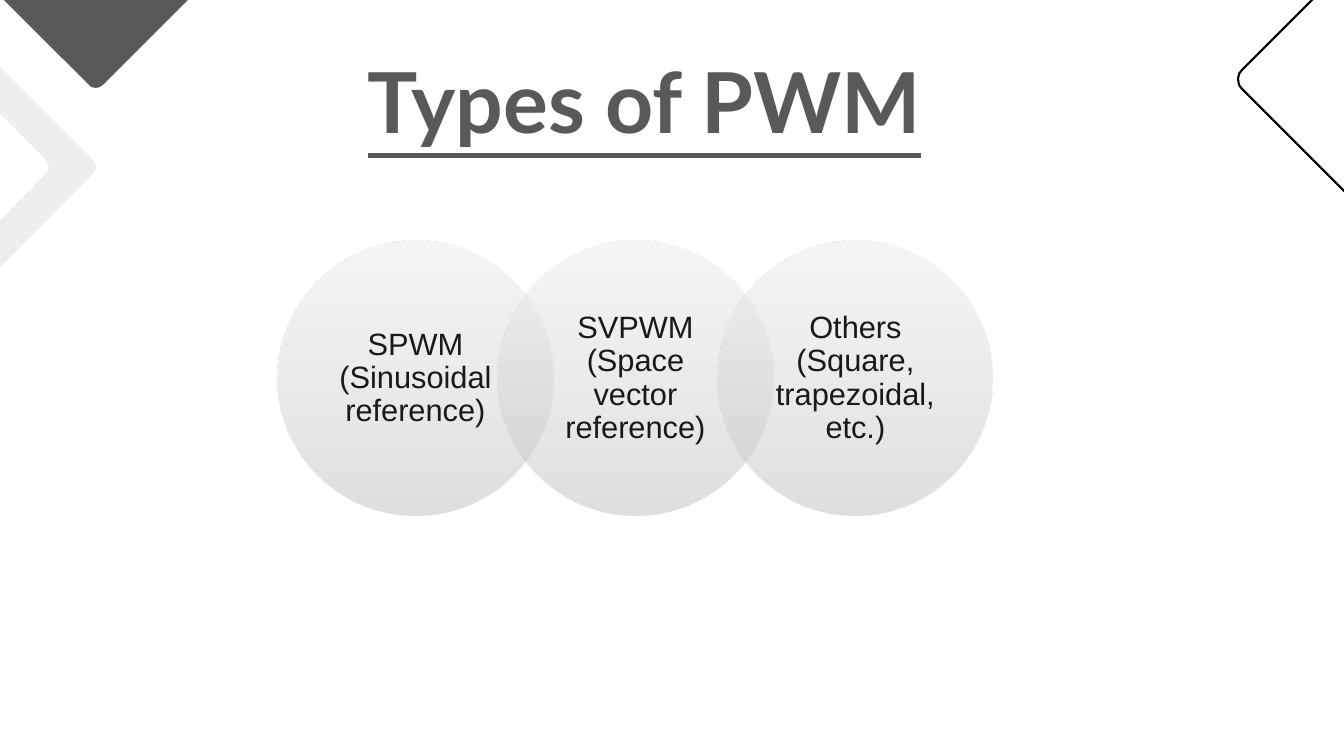
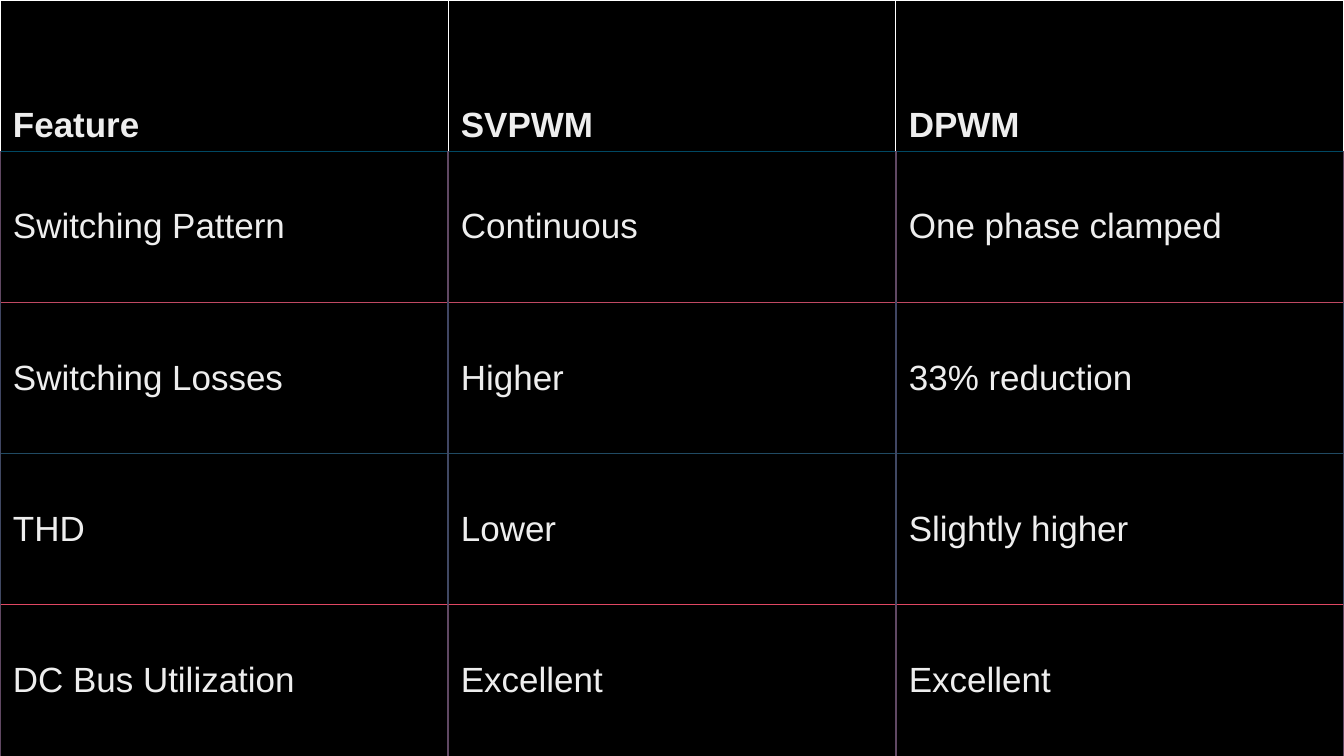
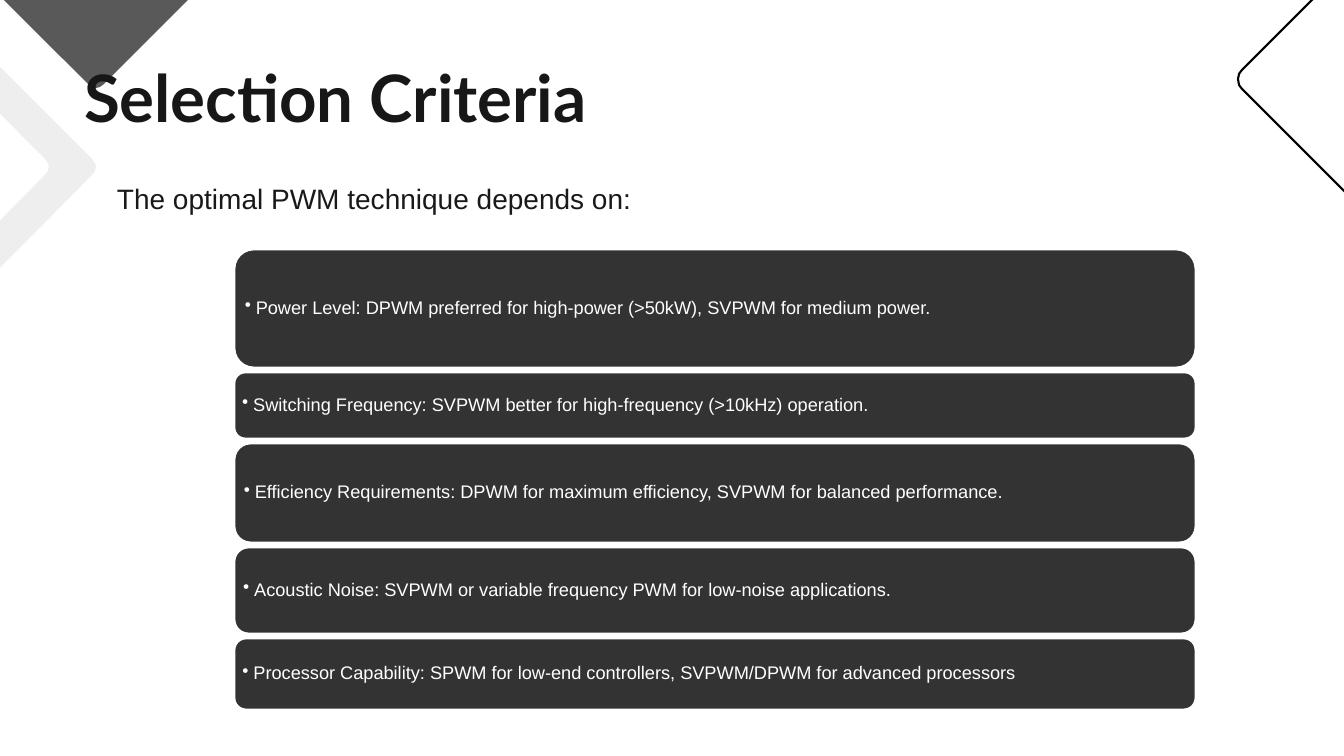
from lxml.etree import SubElement
from pptx import Presentation
from pptx.dml.color import RGBColor
from pptx.enum.shapes import MSO_SHAPE
from pptx.enum.text import MSO_ANCHOR, PP_ALIGN
from pptx.oxml import parse_xml
from pptx.oxml.ns import nsdecls, qn
from pptx.util import Pt

SLIDE_W, SLIDE_H = 1344, 756
PX = 12192000 / SLIDE_W

WHITE, BLACK, GREY, PALE = "FFFFFF", "000000", "595959", "EEEEEE"
INK, HEADING, BAR = "191919", "171717", "333333"
BODY_FONT, TITLE_FONT = "Arial", "Lato"

DARK_CORNER = [(243, -60), (242, -56), (240, -52), (104, 84), (100, 87), (96, 88), (91, 87),
               (88, 84), (-48, -52), (-51, -56), (-52, -60)]
PALE_CHEVRON = [(-28, 39), (92, 159), (95, 163), (96, 167), (95, 171), (92, 175), (-28, 296),
                (-32, 299), (-36, 300), (-40, 299), (-44, 296), (-59, 280), (45, 175),
                (48, 171), (49, 167), (48, 163), (45, 159), (-59, 54), (-44, 39),
                (-40, 36), (-36, 35), (-32, 36)]
CORNER_OUTLINE = [(1407, -90), (1402, -89), (1398, -86), (1242, 70), (1239, 74), (1238, 79),
                  (1239, 85), (1242, 89), (1398, 245), (1402, 248), (1407, 249)]

PWM_TYPES = ["SPWM (Sinusoidal reference)", "SVPWM (Space vector reference)",
             "Others (Square, trapezoidal, etc.)"]
CIRCLE_STOPS = [(0, "BFBFBF"), (35, "D2D2D2"), (100, "EEEEEE")]

FEATURES = [
    ("Feature", "SVPWM", "DPWM"),
    ("Switching Pattern", "Continuous", "One phase clamped"),
    ("Switching Losses", "Higher", "33% reduction"),
    ("THD", "Lower", "Slightly higher"),
    ("DC Bus Utilization", "Excellent", "Excellent"),
]
ROW_SIDES = [WHITE, "604863", "404663", "404863", "604863"]
ROW_EDGES = [WHITE, "004863", "C04963", "204A63", "E04763", WHITE]

CRITERIA = [
    (119, "Power Level: DPWM preferred for high-power (>50kW), SVPWM for medium power."),
    (67, "Switching Frequency: SVPWM better for high-frequency (>10kHz) operation."),
    (100, "Efficiency Requirements: DPWM for maximum efficiency, SVPWM for balanced performance."),
    (87, "Acoustic Noise: SVPWM or variable frequency PWM for low-noise applications."),
    (72, "Processor Capability: SPWM for low-end controllers, SVPWM/DPWM for advanced processors"),
]


def px(n):
    return round(n * PX)


def rgb(value):
    return RGBColor.from_string(value)


def paint(sp, fill=None, line=None, width=1):
    sp.shadow.inherit = False
    if fill:
        sp.fill.solid()
        sp.fill.fore_color.rgb = rgb(fill)
    else:
        sp.fill.background()
    if line:
        sp.line.color.rgb = rgb(line)
        sp.line.width = Pt(width)
    else:
        sp.line.fill.background()


def write(tf, text, size, color, font=BODY_FONT, bold=False, underline=False,
          margins=(10, 5), anchor=MSO_ANCHOR.TOP, align=PP_ALIGN.LEFT, spacing=None):
    tf.word_wrap = True
    tf.vertical_anchor = anchor
    tf.margin_left = tf.margin_right = px(margins[0])
    tf.margin_top = tf.margin_bottom = px(margins[1])
    p = tf.paragraphs[0]
    p.alignment = align
    if spacing:
        p.line_spacing = spacing
    r = p.add_run()
    r.text = text
    r.font.name = font
    r.font.size = Pt(size)
    r.font.bold = bold
    r.font.underline = underline
    r.font.color.rgb = rgb(color)
    return p


def text_box(s, box, text, size, color, **style):
    sp = s.shapes.add_textbox(*map(px, box))
    write(sp.text_frame, text, size, color, **style)


def outline(s, points, **look):
    builder = s.shapes.build_freeform(*points[0], scale=PX)
    builder.add_line_segments(points[1:], close=True)
    sp = builder.convert_to_shape()
    paint(sp, **look)
    return sp


def add_slide(prs):
    return prs.slides.add_slide(prs.slide_layouts[6])


def move_corners_to_layout(s):
    corners = [outline(s, DARK_CORNER, fill=GREY),
               outline(s, PALE_CHEVRON, fill=PALE),
               outline(s, CORNER_OUTLINE, line=BLACK, width=1.5)]
    for sp in corners:
        s.slide_layout.shapes._spTree.append(sp._element)


def fade(sp, stops):
    gs = "".join(f'<a:gs pos="{pos * 1000}"><a:srgbClr val="{color}">'
                 f'<a:alpha val="50000"/></a:srgbClr></a:gs>' for pos, color in stops)
    grad = parse_xml(f'<a:gradFill {nsdecls("a")} rotWithShape="1"><a:gsLst>{gs}</a:gsLst>'
                     f'<a:lin ang="16200000" scaled="0"/></a:gradFill>')
    spPr = sp.fill._xPr
    spPr.replace(spPr.find(qn("a:noFill")), grad)


def set_bullet(p, indent):
    pPr = p._p.get_or_add_pPr()
    pPr.set("marL", str(px(indent)))
    pPr.set("indent", str(-px(indent)))
    SubElement(pPr, qn("a:buChar")).set("char", "•")


def set_borders(cell, side, top, bottom):
    tcPr = cell._tc.get_or_add_tcPr()
    edges = [("lnL", side), ("lnR", side), ("lnT", top), ("lnB", bottom)]
    for i, (tag, color) in enumerate(edges):
        width = Pt(0.75 if color == WHITE else 1)
        tcPr.insert(i, parse_xml(
            f'<a:{tag} {nsdecls("a")} w="{width}"><a:solidFill><a:srgbClr val="{color}"/>'
            f'</a:solidFill></a:{tag}>'))


def types_slide(prs):
    s = add_slide(prs)
    move_corners_to_layout(s)
    left, top, size, step = 278, 241, 275, 220
    for i, text in enumerate(PWM_TYPES):
        sp = s.shapes.add_shape(MSO_SHAPE.OVAL, px(left + i * step), px(top), px(size), px(size))
        paint(sp)
        fade(sp, CIRCLE_STOPS)
        write(sp.text_frame, text, 22, INK, margins=(15, 3), anchor=MSO_ANCHOR.MIDDLE,
              align=PP_ALIGN.CENTER, spacing=0.9)
    text_box(s, (358, 45, 837, 112), "Types of PWM", 60, GREY,
             font=TITLE_FONT, bold=True, underline=True)


def comparison_slide(prs):
    s = add_slide(prs)
    rows, cols = len(FEATURES), len(FEATURES[0])
    table = s.shapes.add_table(rows, cols, 0, 0, px(SLIDE_W), px(SLIDE_H)).table
    table.horz_banding = False
    for i, row in enumerate(FEATURES):
        header = i == 0
        for j, text in enumerate(row):
            cell = table.cell(i, j)
            cell.fill.solid()
            cell.fill.fore_color.rgb = rgb(BLACK)
            write(cell.text_frame, text, 25, PALE, bold=header)
            cell.margin_left = cell.margin_right = px(13)
            cell.margin_top = cell.margin_bottom = px(6)
            cell.vertical_anchor = MSO_ANCHOR.BOTTOM if header else MSO_ANCHOR.MIDDLE
            set_borders(cell, ROW_SIDES[i], ROW_EDGES[i], ROW_EDGES[i + 1])


def criteria_slide(prs):
    s = add_slide(prs)
    text_box(s, (71, 44, 672, 243), "Selection Criteria", 46.7, HEADING,
             font=TITLE_FONT, bold=True, margins=(13, 13))
    text_box(s, (107, 177, 913, 77), "The optimal PWM technique depends on:", 20, INK)
    left, top, width, gap = 234, 249, 962, 4
    for height, text in CRITERIA:
        sp = s.shapes.add_shape(MSO_SHAPE.ROUNDED_RECTANGLE,
                                px(left), px(top), px(width), px(height))
        paint(sp, BAR, WHITE, 2)
        p = write(sp.text_frame, text, 13, WHITE, margins=(5, 5),
                  anchor=MSO_ANCHOR.MIDDLE, spacing=0.9)
        set_bullet(p, 11)
        top += height + gap


def main():
    prs = Presentation()
    prs.slide_width, prs.slide_height = px(SLIDE_W), px(SLIDE_H)
    types_slide(prs)
    comparison_slide(prs)
    criteria_slide(prs)
    prs.save("out.pptx")


if __name__ == "__main__":
    main()
